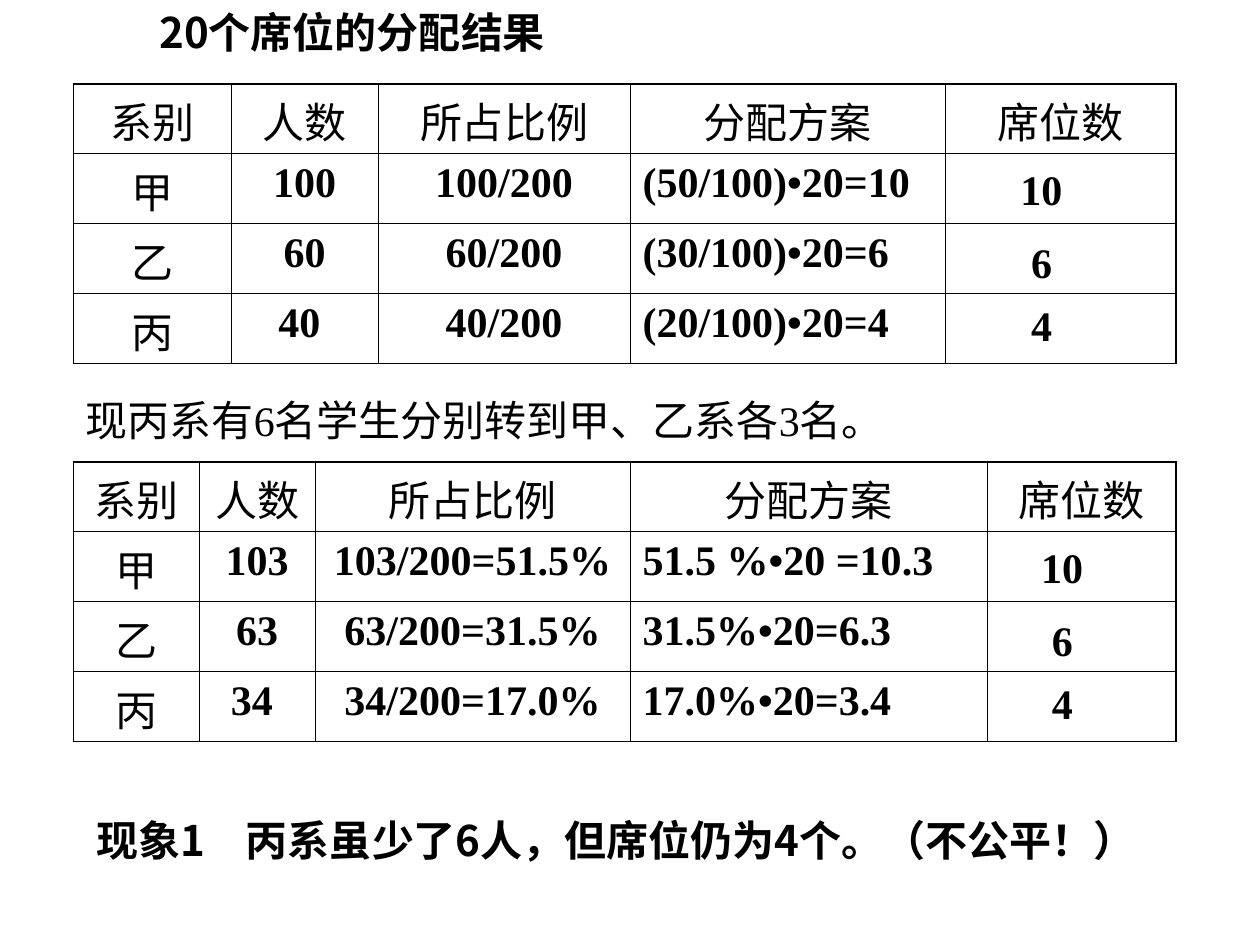
from lxml import etree
from pptx import Presentation
from pptx.dml.color import RGBColor
from pptx.enum.shapes import MSO_SHAPE
from pptx.enum.text import MSO_ANCHOR, MSO_AUTO_SIZE, PP_ALIGN
from pptx.oxml.ns import qn
from pptx.util import Cm, Pt

LEFT, CENTER = PP_ALIGN.LEFT, PP_ALIGN.CENTER
TOP, NO_FIT, RECT = MSO_ANCHOR.TOP, MSO_AUTO_SIZE.NONE, MSO_SHAPE.RECTANGLE
COLORS = {"ink": "000000", "paper": "FFFFFF"}
SERIF, SANS = "Times New Roman", "DejaVu Sans"
CJK, CJK_JP = "Noto Sans CJK SC", "Noto Sans CJK JP"
LINE = Pt(28.8)


def write(tf, text, font=SERIF, ea=CJK, bold=True, align=LEFT, spacing=None):
    tf.word_wrap = True
    p = tf.paragraphs[0]
    p.alignment = align
    p.space_before = Pt(0)
    if spacing:
        p.line_spacing = spacing
    r = p.add_run()
    r.text = text
    r.font.size = Pt(24)
    r.font.bold = bold
    r.font.color.rgb = RGBColor.from_string(COLORS["ink"])
    r.font.name = font
    etree.SubElement(r.font._element, qn("a:ea"), typeface=ea)


def border(cell, side, width):
    ln = etree.SubElement(cell._tc.get_or_add_tcPr(), qn(f"a:ln{side}"), w=str(Pt(width)))
    fill = etree.SubElement(ln, qn("a:solidFill"))
    etree.SubElement(fill, qn("a:srgbClr"), val=COLORS["ink"])


prs = Presentation()
prs.slide_width, prs.slide_height = Cm(25.4), Cm(19.05)
s = prs.slides.add_slide(prs.slide_layouts[5])

title = s.shapes.title
title.left, title.top, title.width, title.height = Cm(2.96), Cm(0), Cm(19.47), Cm(1.27)
tf = title.text_frame
tf.auto_size = NO_FIT
tf.vertical_anchor = TOP
write(tf, "20个席位的分配结果", font=CJK, spacing=LINE)

HEADERS = ["系别", "人数", "所占比例", "分配方案", "席位数"]
SEATS = [("10", 1.48, 1.7), ("6", 2.96, 1.27), ("4", 4.23, 1.27)]
TABLES = [
    (1.69, [3.18, 2.96, 5.08, 6.35, 4.66], 21.17, [
        ["甲", "100", "100/200", "(50/100)•20=10"],
        ["乙", "60", "60/200", "(30/100)•20=6"],
        ["丙", "40 ", "40/200", "(20/100)•20=4"],
    ]),
    (9.31, [2.54, 2.33, 6.35, 7.2, 3.81], 21.59, [
        ["甲", "103", "103/200=51.5%", "51.5 %•20 =10.3"],
        ["乙", "63", "63/200=31.5%", "31.5%•20=6.3"],
        ["丙", "34 ", "34/200=17.0%", "17.0%•20=3.4"],
    ]),
]
ROW_H = 1.41

for top, widths, seat_x, body in TABLES:
    rows = [HEADERS] + [line + [""] for line in body]
    table = s.shapes.add_table(len(rows), len(widths), Cm(1.48), Cm(top),
                               Cm(sum(widths)), Cm(ROW_H * len(rows))).table
    table.first_row = table.horz_banding = False
    for col, width in zip(table.columns, widths):
        col.width = Cm(width)
    for i, row in enumerate(rows):
        table.rows[i].height = Cm(ROW_H)
        for j, text in enumerate(row):
            cell = table.cell(i, j)
            cell.margin_bottom = 0
            outer = {"L": j == 0, "R": j == len(widths) - 1,
                     "T": i == 0, "B": i == len(rows) - 1}
            for side, is_outer in outer.items():
                border(cell, side, 1.08 if is_outer else 0.45)
            cell.fill.background()
            if text:
                label = i == 0 or j == 0
                write(cell.text_frame, text, font=SANS if label else SERIF, bold=not label,
                      align=LEFT if j == 3 and i > 0 else CENTER)
    for seats, dy, width in SEATS:
        box = s.shapes.add_textbox(Cm(seat_x - width / 2), Cm(top + dy), Cm(width), Cm(1.27))
        write(box.text_frame, seats, spacing=LINE)

box = s.shapes.add_textbox(Cm(1.48), Cm(7.83), Cm(21.39), Cm(1.27))
write(box.text_frame, "现丙系有6名学生分别转到甲、乙系各3名。", bold=False, spacing=LINE)

note = s.shapes.add_shape(RECT, Cm(1.69), Cm(16.3), Cm(21.59), Cm(2.29))
note.shadow.inherit = False
note.fill.solid()
note.fill.fore_color.rgb = RGBColor.from_string(COLORS["paper"])
note.line.fill.background()
tf = note.text_frame
tf.vertical_anchor = TOP
pPr = tf.paragraphs[0]._p.get_or_add_pPr()
tabs = etree.SubElement(pPr, qn("a:tabLst"))
etree.SubElement(tabs, qn("a:tab"), pos=str(Cm(3.02)), algn="l")
write(tf, "现象1\t", font=CJK_JP, spacing=LINE)
write(tf, "丙系虽少了6人，但席位仍为4个。（不公平！）", font=CJK, spacing=LINE)

prs.save("out.pptx")
